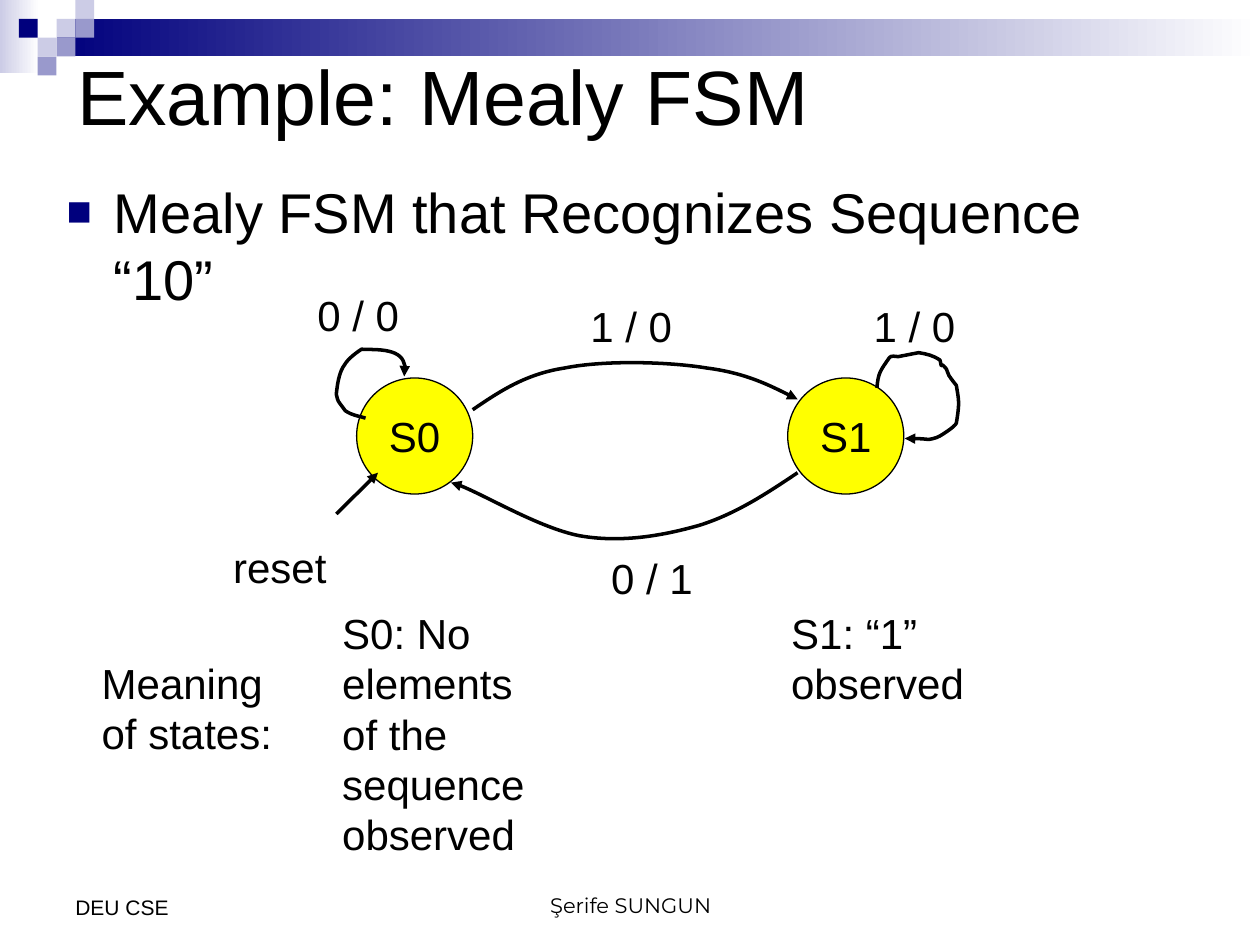
from lxml.etree import SubElement
from pptx import Presentation
from pptx.dml.color import RGBColor
from pptx.enum.shapes import MSO_CONNECTOR, MSO_SHAPE
from pptx.enum.text import MSO_ANCHOR, MSO_AUTO_SIZE, PP_ALIGN
from pptx.oxml.ns import qn
from pptx.util import Cm, Pt

BLACK = RGBColor(0x00, 0x00, 0x00)
WHITE = RGBColor(0xFF, 0xFF, 0xFF)
NAVY = RGBColor(0x00, 0x00, 0x7D)
PALE = RGBColor(0xCC, 0xCC, 0xE6)
LILAC = RGBColor(0x99, 0x99, 0xCC)
YELLOW = RGBColor(0xFF, 0xFF, 0x00)

TITLE = "Example: Mealy FSM"
POINT = "Mealy FSM that Recognizes Sequence “10”"
BANDS = [((0, 0, 0.79, 1.47), PALE), ((1.14, 0.38, 24.26, 0.76), NAVY)]
TILE = 0.38
TILES = [(3, 1, PALE), (4, 0, PALE), (4, 1, LILAC), (2, 2, PALE),
         (1, 1, NAVY), (3, 2, LILAC), (2, 3, LILAC)]
STATES = [("S0", 7.19), ("S1", 15.88)]
ROW, SIZE = 7.62, 2.34
LABELS = [
    (["0 / 0"], 6.15, 5.72, 2.16),
    (["1 / 0"], 11.65, 5.93, 2.16),
    (["1 / 0"], 17.36, 5.93, 2.16),
    (["0 / 1"], 12.07, 11.01, 2.16),
    (["reset"], 4.45, 10.8, 2.39),
    (["Meaning", "of states:"], 1.8, 13.13, 3.99),
    (["S0: No", "elements", "of the", "sequence", "observed"], 6.65, 12.12, 4.25),
    (["S1: “1”", "observed"], 15.7, 12.12, 3.99),
]
FOOT = [
    ("Şerife SUNGUN", "Montserrat", PP_ALIGN.CENTER, (8.69, 17.35, 8.05, 1.27)),
    ("DEU CSE", "Arial", PP_ALIGN.LEFT, (1.27, 17.35, 5.92, 1.32)),
]
CURVES = [
    [(7.37, 8.43), (7.21, 8.38), (7.11, 8.38), (6.96, 8.28),
     (6.78, 8.03), (6.83, 8.13), (6.78, 7.95),
     (6.83, 7.47), (6.91, 7.29), (7.29, 7.04),
     (7.47, 7.06), (8.08, 6.99), (8.15, 7.34),
     (8.18, 7.42), (8.15, 7.52), (8.15, 7.59)],
    [(17.68, 7.82), (17.7, 7.52), (17.75, 7.47), (17.93, 7.21),
     (17.96, 7.16), (18.06, 7.19), (18.11, 7.19),
     (18.26, 7.16), (18.52, 7.11), (18.52, 7.11),
     (18.69, 7.14), (18.8, 7.16), (18.95, 7.26),
     (19.02, 7.54), (18.9, 7.21), (19.08, 7.44),
     (19.1, 7.47), (19.1, 7.52), (19.13, 7.57),
     (19.18, 7.65), (19.28, 7.77), (19.28, 7.77),
     (19.33, 8.08), (19.35, 8.1), (19.28, 8.53),
     (19.25, 8.61), (18.95, 8.79), (18.95, 8.79),
     (18.87, 8.84), (18.72, 8.86), (18.72, 8.86),
     (18.54, 8.84), (18.24, 8.84), (18.24, 8.84)],
    [(9.53, 8.26), (10.06, 7.9), (10.59, 7.54), (11.38, 7.42),
     (12.17, 7.26), (13.46, 7.29), (14.25, 7.42),
     (15.04, 7.52), (15.72, 7.87), (16.08, 8.05)],
    [(16.08, 9.53), (15.44, 9.96), (14.83, 10.36), (14.1, 10.59),
     (13.36, 10.8), (12.52, 10.95), (11.68, 10.8),
     (10.87, 10.64), (9.47, 9.8), (9.09, 9.73)],
]
RESET = (6.78, 10.36, 7.62, 9.53)


def cms(box):
    return [Cm(v) for v in box]


def write(frame, lines, size, font="Arial", align=PP_ALIGN.LEFT):
    for i, line in enumerate(lines):
        para = frame.paragraphs[0] if i == 0 else frame.add_paragraph()
        para.alignment = align
        run = para.add_run()
        run.text = line
        run.font.name = font
        run.font.size = Pt(size)
        run.font.color.rgb = BLACK


def label(lines, box, size, font="Arial", align=PP_ALIGN.LEFT):
    frame = shapes.add_textbox(*cms(box)).text_frame
    write(frame, lines, size, font, align)
    return frame


def block(kind, box):
    shape = shapes.add_shape(kind, *cms(box))
    shape.shadow.inherit = False
    shape.line.fill.background()
    return shape


def paint(shape, color):
    shape.fill.solid()
    shape.fill.fore_color.rgb = color


def arrow(shape):
    shape.line.color.rgb = BLACK
    shape.line.width = Pt(2)
    SubElement(shape.line._get_or_add_ln(), qn("a:tailEnd"), type="triangle")


def curve(dots):
    pen = shapes.build_freeform(*cms(dots[0]))
    pen.add_line_segments([cms(dot) for dot in dots[1:]], close=False)
    shape = pen.convert_to_shape()
    shape.shadow.inherit = False
    shape.fill.background()
    route = next(shape._element.iter(qn("a:path")))
    steps = route.findall(qn("a:lnTo"))
    for i in range(0, len(steps), 3):
        bend = SubElement(route, qn("a:cubicBezTo"))
        for step in steps[i:i + 3]:
            bend.append(step[0])
            route.remove(step)
    arrow(shape)


def place(holder, box, text, size, anchor):
    holder.left, holder.top, holder.width, holder.height = cms(box)
    frame = holder.text_frame
    frame.word_wrap = True
    frame.auto_size = MSO_AUTO_SIZE.NONE
    frame.vertical_anchor = anchor
    write(frame, [text], size)
    return frame.paragraphs[0]


deck = Presentation()
deck.slide_width, deck.slide_height = Cm(25.4), Cm(19.05)
slide = deck.slides.add_slide(deck.slide_layouts[1])
shapes = slide.shapes

place(shapes.title, (1.3, 0, 22.86, 3.81), TITLE, 44, MSO_ANCHOR.MIDDLE)
para = place(slide.placeholders[1], (1.09, 3.45, 23.29, 13.97), POINT, 32,
             MSO_ANCHOR.TOP)
para.space_before = Pt(0)
props = para._p.get_or_add_pPr()
props.set("marL", str(Cm(0.95)))
props.set("indent", str(-Cm(0.95)))
tint = SubElement(props, qn("a:buClr"))
SubElement(tint, qn("a:srgbClr"), val=str(NAVY))
SubElement(props, qn("a:buSzPct"), val="75000")
SubElement(props, qn("a:buFont"), typeface="Arial")
SubElement(props, qn("a:buChar"), char="■")

for box, color in BANDS:
    band = block(MSO_SHAPE.RECTANGLE, box)
    band.fill.gradient()
    band.fill.gradient_angle = 0
    for stop, shade in zip(band.fill.gradient_stops, (color, WHITE)):
        stop.color.rgb = shade
for col, row, color in TILES:
    paint(block(MSO_SHAPE.RECTANGLE, (col * TILE, row * TILE, TILE, TILE)), color)

for text, font, align, box in FOOT:
    frame = label([text], box, 12, font, align)
    frame.word_wrap = True
    frame.vertical_anchor = MSO_ANCHOR.BOTTOM

for name, left in STATES:
    state = block(MSO_SHAPE.OVAL, (left, ROW, SIZE, SIZE))
    paint(state, YELLOW)
    state.line.color.rgb = BLACK
    state.line.width = Pt(0.75)
    state.text_frame.word_wrap = False
    state.text_frame.vertical_anchor = MSO_ANCHOR.MIDDLE
    write(state.text_frame, [name], 24, align=PP_ALIGN.CENTER)

for dots in CURVES:
    curve(dots)
link = shapes.add_connector(MSO_CONNECTOR.STRAIGHT, *cms(RESET))
arrow(link)
SubElement(link._element.spPr, qn("a:effectLst"))

for lines, left, top, width in LABELS:
    frame = label(lines, (left, top, width, 0.25 + 1.02 * len(lines)), 24)
    frame.word_wrap = False
    frame.auto_size = MSO_AUTO_SIZE.SHAPE_TO_FIT_TEXT

deck.save("out.pptx")
